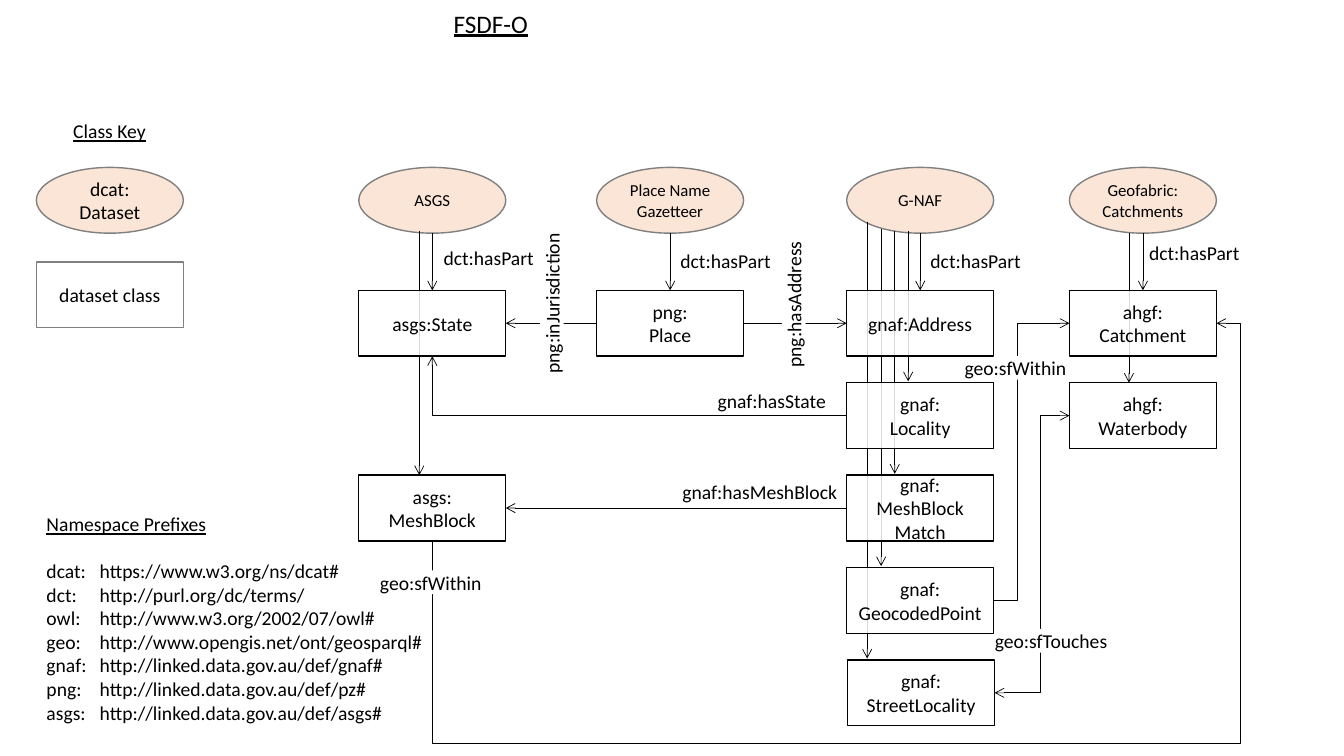
"""Build the FSDF-O dataset and class diagram slide."""
from math import cos, radians, sin

from pptx import Presentation
from pptx.dml.color import RGBColor
from pptx.enum.shapes import MSO_CONNECTOR, MSO_SHAPE
from pptx.enum.text import MSO_ANCHOR, MSO_AUTO_SIZE, PP_ALIGN
from pptx.oxml.ns import qn
from pptx.util import Pt

RECT, OVAL = MSO_SHAPE.RECTANGLE, MSO_SHAPE.OVAL
STRAIGHT, ELBOW = MSO_CONNECTOR.STRAIGHT, MSO_CONNECTOR.ELBOW
TOP, MIDDLE = MSO_ANCHOR.TOP, MSO_ANCHOR.MIDDLE
LEFT, CENTER = PP_ALIGN.LEFT, PP_ALIGN.CENTER
NO_FIT = MSO_AUTO_SIZE.NONE

COLORS = {"ink": "000000", "paper": "FFFFFF", "dataset": "FBE5D6", "grey": "808080"}
FONT = "Calibri"
W, H = 105, 47
KEY_X, ASGS, PLACE, GNAF, GEO = 26, 256.3, 426.2, 604.8, 763.9
DATASET_Y = 119.6
ROWS = [207.4 + 66 * i for i in range(5)]


def rgb(name):
    return RGBColor.from_string(COLORS[name])


def mid_x(x):
    return x + W / 2


def mid_y(row):
    return ROWS[row] + H / 2


class Diagram:
    """Style and current slide, with one method per kind of element."""

    def __init__(self, s):
        self.s = s

    def format(self, p, size, align=LEFT, underline=False):
        p.alignment = align
        for r in p.runs:
            r.font.name, r.font.size = FONT, Pt(size)
            r.font.color.rgb = rgb("ink")
            r.font.underline = underline

    def place(self, sp, x, y, w, h):
        sp.left, sp.top, sp.width, sp.height = Pt(x), Pt(y), Pt(w), Pt(h)
        tf = sp.text_frame
        tf.auto_size, tf.vertical_anchor = NO_FIT, TOP
        return tf

    def title(self, text, x, y, w, h):
        tf = self.place(self.s.shapes.title, x, y, w, h)
        tf.text, tf.word_wrap = text, False
        self.format(tf.paragraphs[0], 18, underline=True)

    def prefixes(self, heading, items, x, y, w, h):
        tf = self.place(self.s.placeholders[1], x, y, w, h)
        tf.word_wrap = True
        tf.text = "\n".join([heading] + [f"{key}:\t{uri}" for key, uri in items])
        for i, p in enumerate(tf.paragraphs):
            self.format(p, 14, underline=i == 0)
            p.space_before, p.space_after = Pt(0), Pt(0 if i else 17)
            pPr = p._p.get_or_add_pPr()
            indent = Pt(38 if i else 0)
            pPr.set("marL", str(indent))
            pPr.set("indent", str(-indent))
            pPr.append(pPr.makeelement(qn("a:buNone"), {}))

    def heading(self, text, x, y, w, h):
        tf = self.place(self.s.shapes.add_textbox(0, 0, 0, 0), x, y, w, h)
        tf.text, tf.word_wrap = text, False
        self.format(tf.paragraphs[0], 14, underline=True)

    def label(self, text, x, y, w, rotation=0):
        sp = self.s.shapes.add_textbox(0, 0, 0, 0)
        tf = self.place(sp, x, y, w, 17)
        sp.rotation = rotation
        sp.fill.solid()
        sp.fill.fore_color.rgb = rgb("paper")
        tf.margin_left = tf.margin_right = tf.margin_top = tf.margin_bottom = 0
        tf.text, tf.word_wrap = text, False
        self.format(tf.paragraphs[0], 14)

    def node(self, text, x, y, kind=RECT, fill="paper", line="ink", size=14, alpha=None):
        sp = self.s.shapes.add_shape(kind, Pt(x), Pt(y), Pt(W), Pt(H))
        sp.shadow.inherit = False
        sp.fill.solid()
        sp.fill.fore_color.rgb = rgb(fill)
        sp.line.color.rgb, sp.line.width = rgb(line), Pt(1)
        if alpha:
            color = sp._element.spPr.find(".//" + qn("a:srgbClr"))
            color.append(color.makeelement(qn("a:alpha"), {"val": str(alpha * 1000)}))
        tf = sp.text_frame
        tf.vertical_anchor = MIDDLE
        p = tf.paragraphs[0]
        p.text = text
        self.format(p, size, CENTER)

    def dataset(self, text, x, size=12):
        self.node(text, x, DATASET_Y, OVAL, "dataset", "grey", size)

    def arrow(self, x1, y1, x2, y2, kind=STRAIGHT, both=False):
        c = self.s.shapes.add_connector(kind, Pt(x1), Pt(y1), Pt(x2), Pt(y2))
        c.line.color.rgb, c.line.width = rgb("ink"), Pt(0.5)
        spPr = c._element.spPr
        ln = spPr.get_or_add_ln()
        for end in ["a:headEnd", "a:tailEnd"] if both else ["a:tailEnd"]:
            ln.append(ln.makeelement(qn(end), {"type": "arrow"}))
        spPr.append(spPr.makeelement(qn("a:effectLst"), {}))
        return c

    def elbow(self, x1, y1, x2, y2, bends, adjust=(), rotation=0, both=False):
        cx, cy = (x1 + x2) / 2, (y1 + y2) / 2
        co, si = cos(radians(rotation)), sin(radians(rotation))
        dx = (x1 - cx) * co + (y1 - cy) * si
        dy = (y1 - cy) * co - (x1 - cx) * si
        c = self.arrow(cx + dx, cy + dy, cx - dx, cy - dy, ELBOW, both)
        spPr = c._element.spPr
        if rotation:
            spPr.find(qn("a:xfrm")).set("rot", str(rotation * 60000))
        geom = spPr.find(qn("a:prstGeom"))
        geom.set("prst", f"bentConnector{bends}")
        guides = geom.find(qn("a:avLst"))
        for i, value in enumerate(adjust, 1):
            guide = {"name": f"adj{i}", "fmla": f"val {round(value * 100000)}"}
            guides.append(guides.makeelement(qn("a:gd"), guide))


prs = Presentation()
prs.slide_width, prs.slide_height = Pt(960), Pt(540)
d = Diagram(prs.slides.add_slide(prs.slide_layouts[1]))

d.title("FSDF-O", 316.8, 2, 68.4, 29)
d.prefixes("Namespace Prefixes", [
    ("dcat", "https://www.w3.org/ns/dcat#"),
    ("dct", "http://purl.org/dc/terms/"),
    ("owl", "http://www.w3.org/2002/07/owl#"),
    ("geo", "http://www.opengis.net/ont/geosparql#"),
    ("gnaf", "http://linked.data.gov.au/def/gnaf#"),
    ("png", "http://linked.data.gov.au/def/pz#"),
    ("asgs", "http://linked.data.gov.au/def/asgs#"),
], 26, 362, 285, 177)
d.heading("Class Key", 45.2, 81.4, 67, 24.5)

d.dataset("dcat:\vDataset", KEY_X, 14)
d.node("dataset class", KEY_X, 187.2, line="grey")
for text, x in [("ASGS", ASGS), ("Place Name Gazetteer", PLACE), ("G-NAF", GNAF),
                ("Geofabric:\vCatchments", GEO)]:
    d.dataset(text, x)
    d.arrow(mid_x(x), DATASET_Y + H, mid_x(x), ROWS[0])
d.node("png:\vPlace", PLACE, ROWS[0])
d.node("asgs: MeshBlock", ASGS, ROWS[2])
d.node("gnaf:\vStreetLocality", GNAF + 0.7, ROWS[4])

for row, (x, top) in enumerate([(648.7, 165), (639.1, 165), (629.4, 163.4), (619.4, 158.4)], 1):
    d.arrow(x, top, x, ROWS[row] - 1)
d.arrow(806.4, 166.3, 806.4, ROWS[1])
d.arrow(299.5, 165, 299.5, ROWS[2])
d.arrow(PLACE + W, mid_y(0), GNAF, mid_y(0))
d.arrow(PLACE, mid_y(0), ASGS + W, mid_y(0))
d.arrow(GNAF, mid_y(2), ASGS + W, mid_y(2))
d.elbow(GNAF, mid_y(1), mid_x(ASGS), ROWS[0] + H, 2, rotation=180)
d.elbow(GNAF + W + 0.7, mid_y(4), GEO, mid_y(1), 3, [0.61], both=True)
d.elbow(GNAF + W, mid_y(3), GEO, mid_y(0), 3, [0.31])
d.elbow(mid_x(ASGS), ROWS[2] + H, GEO + W, mid_y(0), 4, [-0.93, 1.03], 90)

for x, y in [(316.8, 178), (486, 178), (664.6, 178), (820.8, 172.2)]:
    d.label("dct:hasPart", x, y if x != 316.8 else 175.7, 65.5)
for text, x, y, w in [("gnaf:hasMeshBlock", 487.4, 342.7, 111.6),
                      ("gnaf:hasState", 512.6, 277.9, 78.5),
                      ("geo:sfWithin", 689, 254.2, 73.4),
                      ("geo:sfWithin", 271.4, 407.5, 73.4),
                      ("geo:sfTouches", 710.6, 449.3, 81.4)]:
    d.label(text, x, y, w)
d.label("png:hasAddress", 521.3, 208.4, 91.4, 270)
d.label("png:inJurisdiction", 343.4, 207.7, 101.5, 270)

for text, x, row in [("asgs:State", ASGS, 0), ("gnaf:Address", GNAF, 0),
                     ("gnaf:\vLocality", GNAF, 1), ("gnaf:\vMeshBlock\vMatch", GNAF, 2),
                     ("gnaf:\vGeocodedPoint", GNAF, 3), ("ahgf:\vCatchment", GEO, 0),
                     ("ahgf:\vWaterbody", GEO, 1)]:
    d.node(text, x, ROWS[row], alpha=85)

prs.save("out.pptx")
